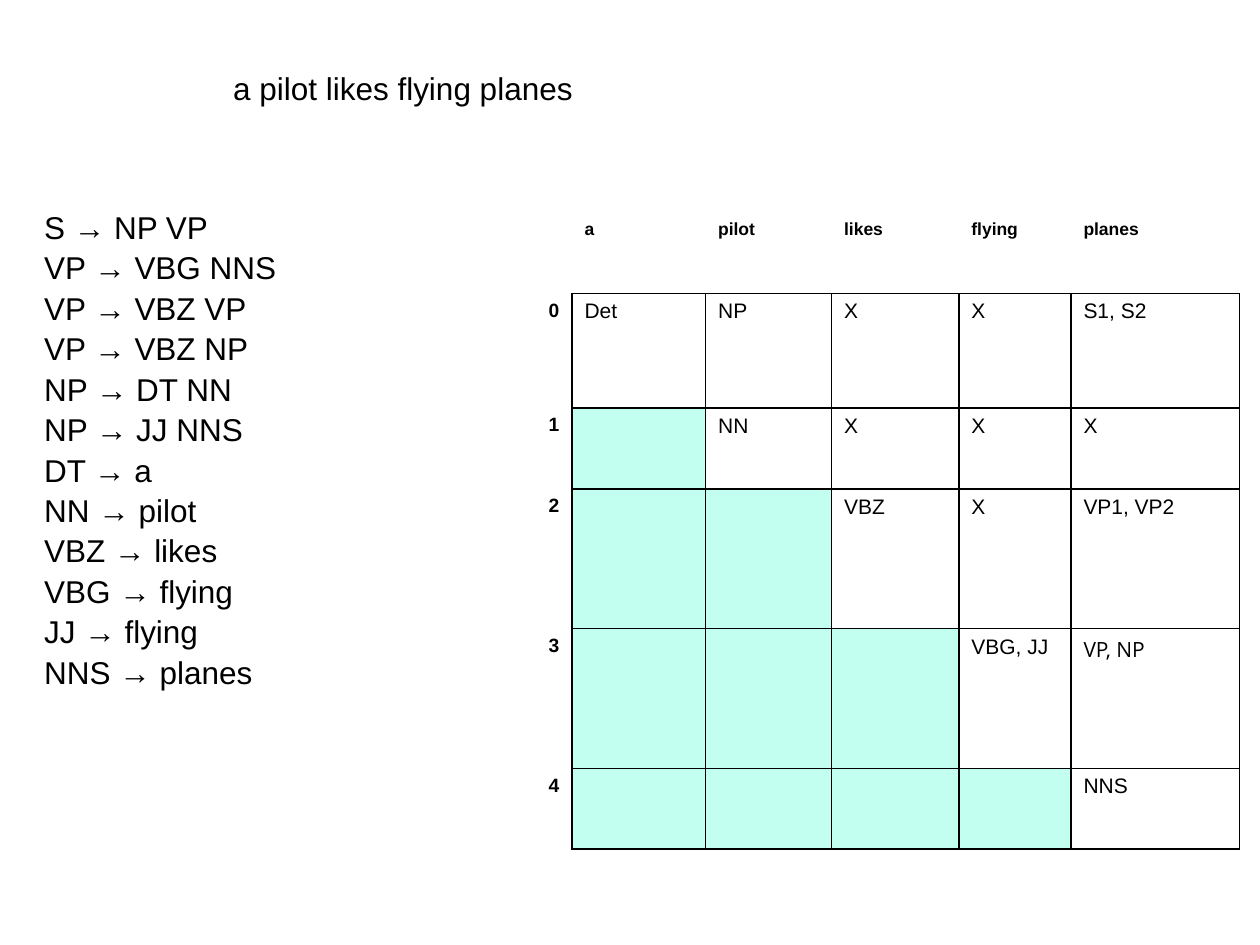
from dataclasses import dataclass

from lxml import etree
from pptx import Presentation
from pptx import util as u
from pptx.dml.color import RGBColor
from pptx.enum import text
from pptx.oxml import ns


@dataclass(frozen=True)
class Theme:
    ink: RGBColor = RGBColor(0, 0, 0)
    unused: RGBColor = RGBColor(0xC2, 0xFF, 0xF0)
    font: str = "Arial"
    accent_font: str = "Open Sans"
    body_size: int = 18
    header_size: int = 10
    index_size: int = 11
    entry_size: int = 12
    border: int = 1


THEME = Theme()
WIDTH, HEIGHT = 10, 7.5
COLUMNS = [1.06, 1.06, 1, 1.01, 0.89, 1.34]
ROWS = [0.64, 0.91, 0.64, 1.11, 1.11, 0.64]
SENTENCE = "a pilot likes flying planes"
RULES = [
    ("S", "NP VP"),
    ("VP", "VBG NNS"),
    ("VP", "VBZ VP"),
    ("VP", "VBZ NP"),
    ("NP", "DT NN"),
    ("NP", "JJ NNS"),
    ("DT", "a"),
    ("NN", "pilot"),
    ("VBZ", "likes"),
    ("VBG", "flying"),
    ("JJ", "flying"),
    ("NNS", "planes"),
]
CHART = [
    ["Det", "NP", "X", "X", "S1, S2"],
    ["NN", "X", "X", "X"],
    ["VBZ", "X", "VP1, VP2"],
    ["VBG, JJ", "VP, NP"],
    ["NNS"],
]


def add_run(paragraph, words, size, bold=False, font=THEME.font):
    run = paragraph.add_run()
    run.text = words
    run.font.name = font
    run.font.size = u.Pt(size)
    run.font.bold = bold
    run.font.color.rgb = THEME.ink


def place(shape, left, top, width, height):
    shape.left, shape.top = u.Inches(left), u.Inches(top)
    shape.width, shape.height = u.Inches(width), u.Inches(height)


def fill_placeholder(shape, lines, spacing):
    frame = shape.text_frame
    frame.word_wrap = True
    frame.auto_size = text.MSO_AUTO_SIZE.SHAPE_TO_FIT_TEXT
    frame.vertical_anchor = text.MSO_ANCHOR.TOP
    for number, line in enumerate(lines):
        paragraph = frame.add_paragraph() if number else frame.paragraphs[0]
        paragraph.alignment = text.PP_ALIGN.LEFT
        paragraph.line_spacing = spacing
        paragraph.space_before = u.Pt(0)
        properties = paragraph._p.get_or_add_pPr()
        properties.set("marL", "0")
        properties.set("indent", "0")
        etree.SubElement(properties, ns.qn("a:buNone"))
        add_run(paragraph, line, THEME.body_size)


def set_borders(cell, drawn_sides):
    properties = cell._tc.get_or_add_tcPr()
    for position, side in enumerate("LRTB"):
        line = etree.Element(ns.qn(f"a:ln{side}"), w=str(u.Pt(THEME.border)))
        if side in drawn_sides:
            fill = etree.SubElement(line, ns.qn("a:solidFill"))
            etree.SubElement(fill, ns.qn("a:srgbClr"), val=str(THEME.ink))
        else:
            etree.SubElement(line, ns.qn("a:noFill"))
        properties.insert(position, line)


def write_cell(cell, words, size, bold=False, font=THEME.font, align=None):
    paragraph = cell.text_frame.paragraphs[0]
    paragraph.alignment = align
    add_run(paragraph, words, size, bold, font)


def format_cell(cell, row, column):
    cell.fill.background()
    if row and column:
        if column < row:
            cell.fill.solid()
            cell.fill.fore_color.rgb = THEME.unused
        else:
            words = CHART[row - 1][column - row]
            font = THEME.accent_font if words == "VP, NP" else THEME.font
            write_cell(cell, words, THEME.entry_size, font=font)
        set_borders(cell, "LRTB")
    elif row:
        write_cell(cell, str(row - 1), THEME.index_size, True,
                   align=text.PP_ALIGN.RIGHT)
        set_borders(cell, "R")
    elif column:
        write_cell(cell, SENTENCE.split()[column - 1], THEME.header_size, True)
        set_borders(cell, "B")
    else:
        set_borders(cell, "")


def add_parse_table(slide, left, top):
    frame = slide.shapes.add_table(
        len(ROWS), len(COLUMNS), u.Inches(left), u.Inches(top),
        u.Inches(sum(COLUMNS)), u.Inches(sum(ROWS)))
    table = frame.table
    table.first_row = table.horz_banding = False
    for column, width in zip(table.columns, COLUMNS):
        column.width = u.Inches(width)
    for row, height in zip(table.rows, ROWS):
        row.height = u.Inches(height)
    for row in range(len(ROWS)):
        for column in range(len(COLUMNS)):
            format_cell(table.cell(row, column), row, column)


def main():
    presentation = Presentation()
    presentation.slide_width = u.Inches(WIDTH)
    presentation.slide_height = u.Inches(HEIGHT)
    slide = presentation.slides.add_slide(presentation.slide_layouts[1])
    title, grammar = slide.shapes.title, slide.placeholders[1]
    place(title, 1.75, 0.5, 4.67, 0.42)
    fill_placeholder(title, [SENTENCE], 1.0)
    place(grammar, 0.25, 1.58, 3.75, 4.62)
    fill_placeholder(grammar, [f"{head} → {parts}" for head, parts in RULES], 1.07)
    add_parse_table(slide, 3.48, 1.69)
    presentation.save("out.pptx")


if __name__ == "__main__":
    main()
